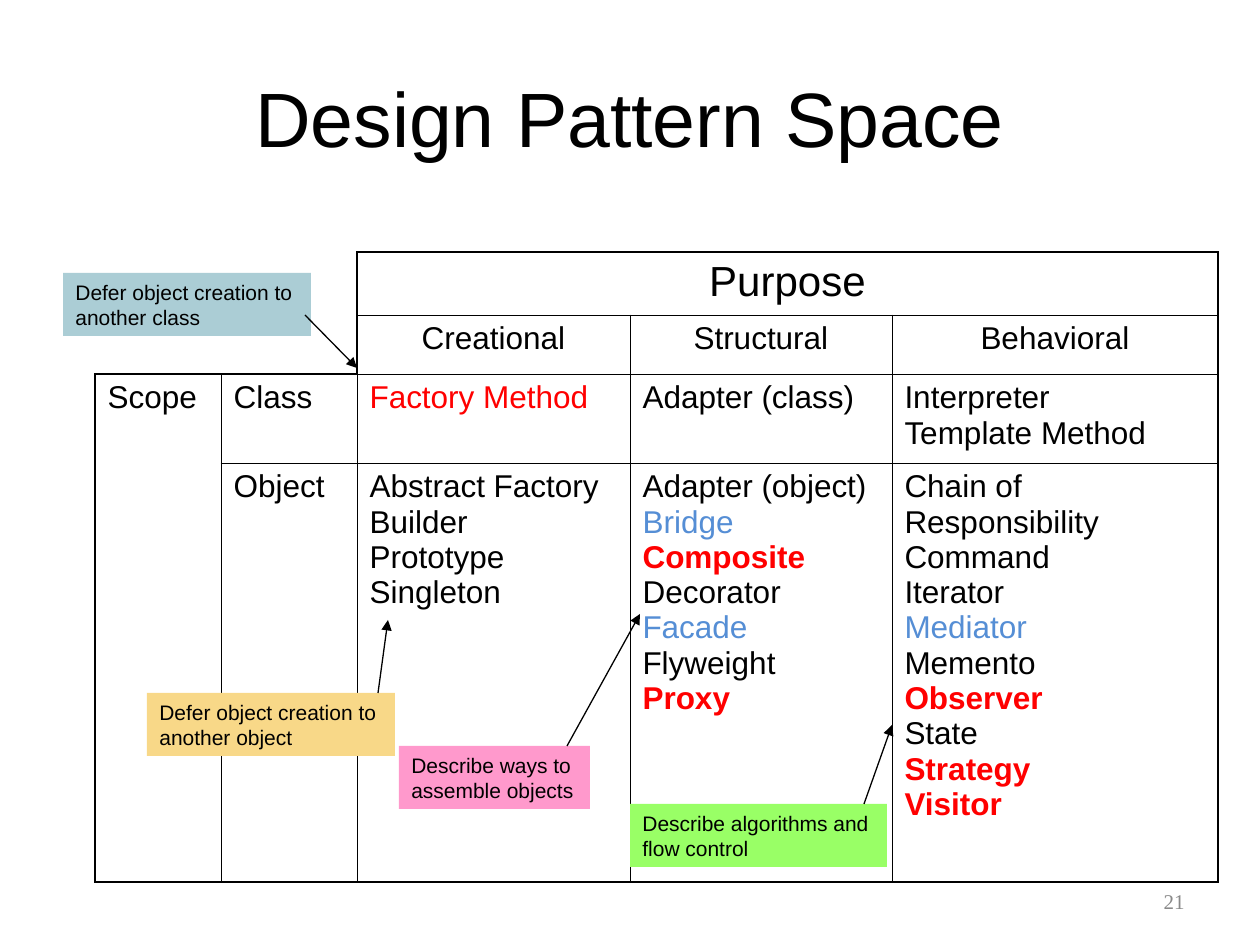
"""Build the Design Pattern Space slide: a table of patterns with four callouts."""
from lxml import etree
from pptx import Presentation
from pptx.dml.color import RGBColor
from pptx.enum.shapes import MSO_CONNECTOR, MSO_SHAPE
from pptx.enum.text import MSO_ANCHOR, PP_ALIGN
from pptx.oxml.ns import qn
from pptx.util import Emu, Pt

LEFT, MID, RIGHT = PP_ALIGN.LEFT, PP_ALIGN.CENTER, PP_ALIGN.RIGHT
TOP, CENTER = MSO_ANCHOR.TOP, MSO_ANCHOR.MIDDLE
RECT, LINE = MSO_SHAPE.RECTANGLE, MSO_CONNECTOR.STRAIGHT

HEX = {
    "black": "000000", "red": "FF0000", "blue": "558ED5", "gray": "898989",
    "teal": "ABCDD5", "sand": "F8D888", "green": "99FF66", "pink": "FF99CC",
}
TITLE = "Design Pattern Space"
COLS = [126, 136, 273, 262, 326]
ROWS = [63, 59, 89, 419]
MERGES = [(0, 0, 1, 1), (0, 2, 0, 4), (2, 0, 3, 0)]
CELLS = {
    (0, 2): ["Purpose"],
    (1, 2): ["Creational"],
    (1, 3): ["Structural"],
    (1, 4): ["Behavioral"],
    (2, 0): ["Scope"],
    (2, 1): ["Class"],
    (2, 2): ["Factory Method"],
    (2, 3): ["Adapter (class)"],
    (2, 4): ["Interpreter\vTemplate Method"],
    (3, 1): ["Object"],
    (3, 2): ["Abstract Factory", "Builder", "Prototype", "Singleton"],
    (3, 3): ["Adapter (object)", "Bridge", "Composite", "Decorator",
             "Facade", "Flyweight", "Proxy"],
    (3, 4): ["Chain of Responsibility", "Command", "Iterator", "Mediator",
             "Memento", "Observer", "State", "Strategy", "Visitor"],
}
BOLD = {"Composite", "Proxy", "Observer", "Strategy", "Visitor"}
TINT = {"Factory Method": "red", "Bridge": "blue", "Facade": "blue",
        "Mediator": "blue", **dict.fromkeys(BOLD, "red")}
NOTES = [
    ("Defer object creation to\vanother class", "teal",
     (63, 273, 248, 63), (305, 315, 357, 368)),
    ("Defer object creation to\vanother object", "sand",
     (147, 693, 248, 63), (378, 693, 388, 620)),
    ("Describe algorithms and\vflow control", "green",
     (630, 804, 257, 63), (864, 804, 892, 725)),
    ("Describe ways to\vassemble objects", "pink",
     (399, 746, 191, 63), (567, 746, 640, 614)),
]


def px(*nums):
    return [Emu(round(n * 914400 / 126)) for n in nums]


def rgb(name):
    return RGBColor.from_string(HEX[name])


def style(para, size, align=LEFT, color="black", face="Arial", bold=False):
    para.alignment = align
    for run in para.runs:
        font = run.font
        font.size, font.name, font.bold = Pt(size), face, bold
        font.color.rgb = rgb(color)


def rule(cell, side, width):
    props = cell._tc.get_or_add_tcPr()
    line = etree.SubElement(props, qn("a:ln" + side), w=str(Pt(width)))
    if width:
        fill = etree.SubElement(line, qn("a:solidFill"))
        etree.SubElement(fill, qn("a:srgbClr"), val=HEX["black"])
    else:
        etree.SubElement(line, qn("a:noFill"))


def weight(edge, cross, first, last):
    if edge == last:
        return 1.08
    if cross < 2 and edge <= 2:
        return 0.75 if edge == 2 else 0
    return first if edge == 0 else 0.45


def add_grid(slide):
    table = slide.shapes.add_table(
        len(ROWS), len(COLS), *px(95, 252, sum(COLS), sum(ROWS))).table
    table.first_row = table.horz_banding = False
    for col, wide in zip(table.columns, px(*COLS)):
        col.width = wide
    for row, high in zip(table.rows, px(*ROWS)):
        row.height = high
    for top, left, low, right in MERGES:
        table.cell(top, left).merge(table.cell(low, right))
    for r in range(len(ROWS)):
        for c in range(len(COLS)):
            cell = table.cell(r, c)
            high, wide = cell.span_height, cell.span_width
            rule(cell, "L", weight(c, r, 1.08, len(COLS)))
            rule(cell, "R", weight(c + wide, r, 1.08, len(COLS)))
            rule(cell, "T", weight(r, c, 0.75, len(ROWS)))
            rule(cell, "B", weight(r + high, c, 0.75, len(ROWS)))
            cell.fill.background()
    for (r, c), names in CELLS.items():
        frame = table.cell(r, c).text_frame
        frame.text = "\n".join(names)
        for para, name in zip(frame.paragraphs, names):
            style(para, 24 if r == 0 else 18, MID if r < 2 else LEFT,
                  TINT.get(name, "black"), bold=name in BOLD)


def add_note(slide, text, color, box, ends):
    note = slide.shapes.add_shape(RECT, *px(*box))
    note.shadow.inherit = False
    note.fill.solid()
    note.fill.fore_color.rgb = rgb(color)
    note.line.fill.background()
    frame = note.text_frame
    frame.word_wrap, frame.vertical_anchor = True, TOP
    frame.text = text
    style(frame.paragraphs[0], 12)
    arrow = slide.shapes.add_connector(LINE, *px(*ends))
    arrow.line.width = Pt(0.75)
    arrow.line.color.rgb = rgb("black")
    etree.SubElement(arrow.line._get_or_add_ln(), qn("a:tailEnd"), type="triangle")
    etree.SubElement(arrow._element.spPr, qn("a:effectLst"))


def main():
    deck = Presentation()
    deck.slide_width, deck.slide_height = px(1260, 945)
    slide = deck.slides.add_slide(deck.slide_layouts[5])
    title = slide.shapes.title
    title.left, title.top, title.width, title.height = px(63, 38, 1134, 157)
    title.text_frame.text = TITLE
    title.text_frame.vertical_anchor = CENTER
    style(title.text_frame.paragraphs[0], 44, MID)
    add_grid(slide)
    for note in NOTES:
        add_note(slide, *note)
    frame = slide.shapes.add_textbox(*px(903, 876, 294, 50)).text_frame
    frame.word_wrap, frame.vertical_anchor = True, CENTER
    frame.text = "21"
    style(frame.paragraphs[0], 12, RIGHT, "gray", "Times New Roman")
    deck.save("out.pptx")


if __name__ == "__main__":
    main()
